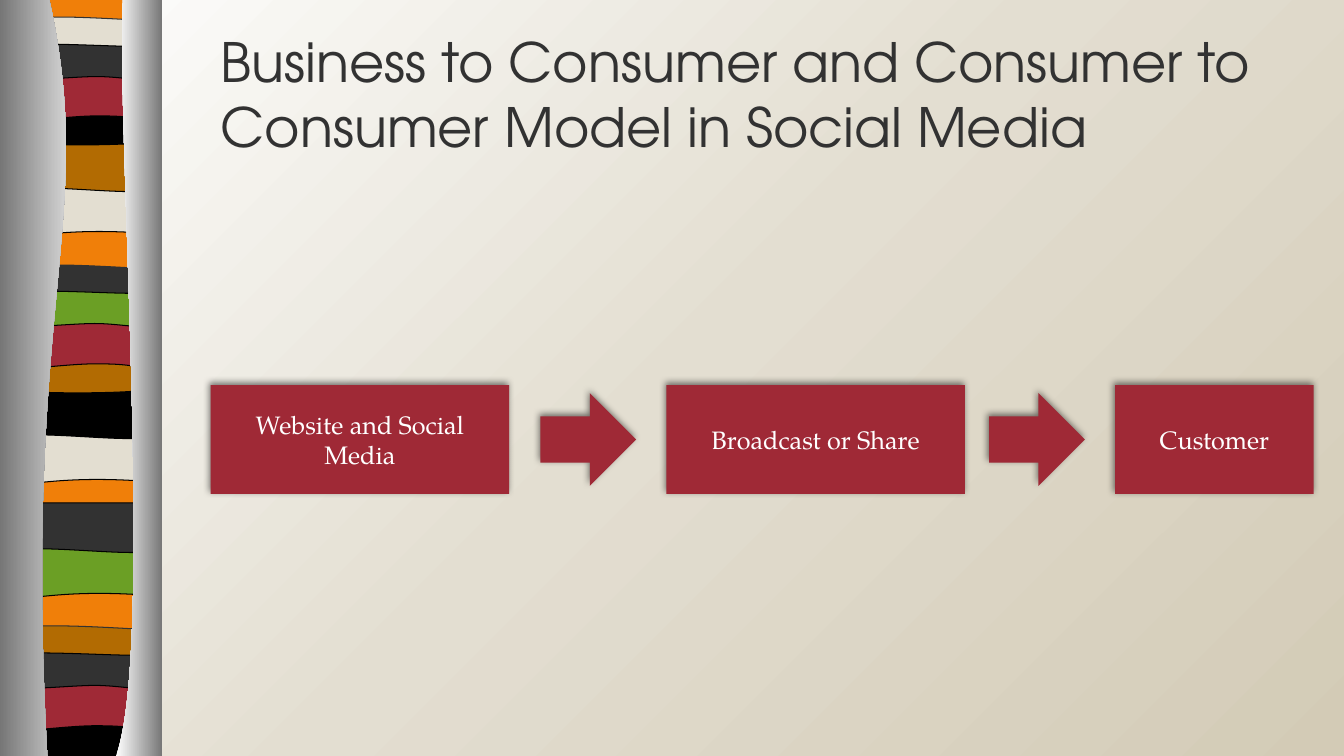
from dataclasses import dataclass
from itertools import chain

from lxml.etree import SubElement
from pptx import Presentation
from pptx.dml.color import RGBColor
from pptx.enum.shapes import MSO_SHAPE
from pptx.enum.text import MSO_ANCHOR, MSO_AUTO_SIZE, PP_ALIGN
from pptx.oxml.ns import qn
from pptx.shapes.base import BaseShape
from pptx.util import Inches, Pt

Point = tuple[float, float]
Segment = tuple[Point, ...]  # one point is a line, three points are a Bezier curve

TITLE_FONT, BODY_FONT = "TeX Gyre Adventor", "TeX Gyre Pagella"
ORANGE, SAND, BROWN, BLACK = "F07F09", "E3DED1", "B26B02", "000000"
RED, DARK, GREEN, WHITE, GRAY = "9F2936", "323232", "6B9F25", "FFFFFF", "767676"

# Stripe outlines, measured from the stripe's top left corner
FLAT = (((1.5, 0),), ((1.5, 7.47),), ((0, 7.47),), ((0, 0),))
WAVE = (((1.5, 0),), ((1.5, 0.47),), ((0.46, 0.39), (0.24, 0.55), (0, 0.47)), ((0, 0),))
DIP = (((1.5, 0),), ((1.5, 0.47),), ((1.25, 0.54), (0.46, 0.41), (0, 0.47)), ((0, 0),))
LENS = (((1.5, 0.05),), ((1.5, 0.29),), ((1.25, 0.33), (0.25, 0.33), (0, 0.29)),
        ((0, 0.05),), ((0.1, 0), (0.33, 0.01), (0.58, 0.01)),
        ((0.83, 0.01), (1.31, 0.04), (1.5, 0.05)))
BOWL = (((1.5, 0),), ((1.5, 0.33),), ((1.25, 0.38), (0.25, 0.38), (0, 0.33)),
        ((0, 0),), ((0.92, 0.05), (1.19, 0), (1.5, 0)))
BASE = (((1.5, 0),), ((1.5, 0.38),), ((0.02, 0.38),), ((0, 0),),
        ((0.92, 0.05), (1.19, 0), (1.5, 0)))
ARCH = (((1.5, 0),), ((1.5, 0.47),), ((1.27, 0.42), (1.17, 0.41), (0.92, 0.41)),
        ((0.67, 0.41), (0.23, 0.47), (0, 0.47)), ((0, 0),))
SWELL = (((1.5, 0.05),), ((1.5, 0.36),), ((1.4, 0.41), (1.17, 0.35), (0.92, 0.35)),
         ((0.67, 0.35), (0.16, 0.41), (0, 0.36)), ((0, 0.05),),
         ((0.22, 0), (1.01, 0.05), (1.26, 0.05)), ((1.51, 0.05), (1.45, 0.05), (1.5, 0.05)))

LEFT_PANEL = (((0.49, 0),), ((0.97, 2.17), (0.22, 2.96), (0.47, 7.5)), ((0, 7.5),), ((0, 0),))
RIGHT_PANEL = (((1.22, 0),), ((1.15, 1.25), (1.54, 6.47), (1.15, 7.5)),
               ((1.61, 7.5),), ((1.61, 0),))


@dataclass(frozen=True)
class Stripe:
    outline: tuple[Segment, ...]
    left: float
    top: float
    color: str
    line: str = BLACK


@dataclass(frozen=True)
class Step:
    kind: MSO_SHAPE
    left: float
    width: float
    text: str = ""


STRIPES = (
    Stripe(FLAT, 0.04, 0, ORANGE),
    Stripe(WAVE, 0.04, 1.85, SAND),
    Stripe(DIP, 0.04, 1.41, BROWN),
    Stripe(LENS, 0.04, 0.16, SAND, DARK),
    Stripe(BOWL, 0.04, 1.07, BLACK),
    Stripe(ARCH, 0.04, 0.74, RED),
    Stripe(SWELL, 0.04, 0.41, DARK),
    Stripe(WAVE, 0.02, 4.31, SAND),
    Stripe(DIP, 0.02, 3.86, BLACK),
    Stripe(LENS, 0.02, 2.62, DARK, DARK),
    Stripe(BOWL, 0.02, 3.53, BROWN),
    Stripe(ARCH, 0.02, 3.2, RED),
    Stripe(SWELL, 0.02, 2.86, GREEN),
    Stripe(WAVE, 0.04, 5.44, GREEN),
    Stripe(DIP, 0.04, 4.99, DARK),
    Stripe(LENS, 0.02, 6.2, BROWN, DARK),
    Stripe(BASE, 0.02, 7.12, BLACK),
    Stripe(ARCH, 0.02, 6.79, RED),
    Stripe(SWELL, 0.02, 6.45, DARK),
)
STEPS = (
    Step(MSO_SHAPE.RECTANGLE, 2.09, 2.96, "Website and Social Media"),
    Step(MSO_SHAPE.RIGHT_ARROW, 5.36, 0.95),
    Step(MSO_SHAPE.RECTANGLE, 6.61, 2.96, "Broadcast or Share"),
    Step(MSO_SHAPE.RIGHT_ARROW, 9.81, 0.95),
    Step(MSO_SHAPE.RECTANGLE, 11.06, 1.97, "Customer"),
)
STEP_MIDDLE, BOX_HEIGHT, ARROW_HEIGHT = 4.36, 1.08, 0.92


def rgb(color: str) -> RGBColor:
    return RGBColor.from_string(color)


def fill_solid(shape: BaseShape, color: str) -> None:
    shape.shadow.inherit = False
    shape.fill.solid()
    shape.fill.fore_color.rgb = rgb(color)
    shape.line.fill.background()


def fill_gradient(shape: BaseShape, colors: tuple[str, ...], radial: bool = False) -> None:
    """Spread colors evenly, left to right or outwards from the bottom right corner."""
    shape.shadow.inherit = False
    shape.line.fill.background()
    shape.fill.gradient()
    gradient = shape._element.spPr.find(qn("a:gradFill"))
    for child in list(gradient):
        gradient.remove(child)
    stops = SubElement(gradient, qn("a:gsLst"))
    for index, color in enumerate(colors):
        position = index * 100000 // (len(colors) - 1)
        stop = SubElement(stops, qn("a:gs"), pos=str(position))
        SubElement(stop, qn("a:srgbClr"), val=color)
    if radial:
        circle = SubElement(gradient, qn("a:path"), attrib={"path": "circle"})
        SubElement(circle, qn("a:fillToRect"), l="100000", t="100000")
    else:
        SubElement(gradient, qn("a:lin"), ang="0", scaled="0")


def add_shadow(shape: BaseShape) -> None:
    effects = shape._element.spPr.find(qn("a:effectLst"))
    shadow = SubElement(effects, qn("a:outerShdw"), blurRad=str(Pt(5)), dist=str(Pt(2)),
                        dir=str(245 * 60000), algn="tl", rotWithShape="0")
    color = SubElement(shadow, qn("a:srgbClr"), val=BLACK)
    SubElement(color, qn("a:alpha"), val="50000")


def add_outline(shapes, outline: tuple[Segment, ...], left: float = 0, top: float = 0) -> BaseShape:
    """Build a polygon through all points, then turn each three-point segment into a curve."""
    points = [(Inches(left + x), Inches(top + y)) for x, y in chain.from_iterable(outline)]
    builder = shapes.build_freeform(*points[0])
    builder.add_line_segments(points[1:], close=True)
    shape = builder.convert_to_shape()
    lines = iter(list(shape._element.iter(qn("a:lnTo"))))
    for segment in outline[1:]:
        first, *others = [next(lines) for _ in segment]
        if others:
            curve = first.makeelement(qn("a:cubicBezTo"))
            first.addprevious(curve)
            for line in (first, *others):
                curve.append(line[0])
                line.getparent().remove(line)
    return shape


def add_stripe(shapes, stripe: Stripe) -> None:
    shape = add_outline(shapes, stripe.outline, stripe.left, stripe.top)
    fill_solid(shape, stripe.color)
    shape.line.color.rgb = rgb(stripe.line)
    shape.line.width = Pt(0.75)


def move_to_master(master, *elements) -> None:
    """Put the elements behind everything on the master, with ids that stay unique there."""
    for index, element in enumerate(elements):
        for properties in element.iter(qn("p:cNvPr")):
            properties.set("id", str(int(properties.get("id")) + 100))
        master.shapes._spTree.insert(2 + index, element)


def set_text(shape: BaseShape, text: str, font: str, size: float, color: str,
             alignment: PP_ALIGN) -> None:
    frame = shape.text_frame
    frame.text = text
    frame.word_wrap = True
    frame.auto_size = MSO_AUTO_SIZE.NONE
    frame.vertical_anchor = MSO_ANCHOR.MIDDLE
    paragraph = frame.paragraphs[0]
    paragraph.alignment = alignment
    run_font = paragraph.runs[0].font
    run_font.name, run_font.size, run_font.color.rgb = font, Pt(size), rgb(color)


def add_step(shapes, step: Step) -> None:
    height = BOX_HEIGHT if step.text else ARROW_HEIGHT
    shape = shapes.add_shape(step.kind, Inches(step.left), Inches(STEP_MIDDLE - height / 2),
                             Inches(step.width), Inches(height))
    fill_solid(shape, RED)
    add_shadow(shape)
    if step.text:
        set_text(shape, step.text, BODY_FONT, 18, WHITE, PP_ALIGN.CENTER)


def main() -> None:
    presentation = Presentation()
    presentation.slide_width, presentation.slide_height = Inches(13.33), Inches(7.5)
    slide = presentation.slides.add_slide(presentation.slide_layouts[5])
    shapes = slide.shapes

    backdrop = shapes.add_shape(MSO_SHAPE.RECTANGLE, 0, 0, Inches(13.33), Inches(7.5))
    fill_gradient(backdrop, ("D3CBB6", SAND, WHITE), radial=True)
    ribbon = shapes.add_group_shape()
    for stripe in STRIPES:
        add_stripe(ribbon.shapes, stripe)
    fill_gradient(add_outline(ribbon.shapes, LEFT_PANEL), (GRAY, WHITE))
    fill_gradient(add_outline(ribbon.shapes, RIGHT_PANEL), (WHITE, GRAY))
    move_to_master(presentation.slide_master, backdrop._element, ribbon._element)

    title = shapes.title
    title.left, title.top = Inches(2.09), Inches(0.3)
    title.width, title.height = Inches(10.93), Inches(1.25)
    set_text(title, "Business to Consumer and Consumer to Consumer Model in Social Media",
             TITLE_FONT, 38.7, DARK, PP_ALIGN.LEFT)
    for step in STEPS:
        add_step(shapes, step)
    presentation.save("out.pptx")


if __name__ == "__main__":
    main()
